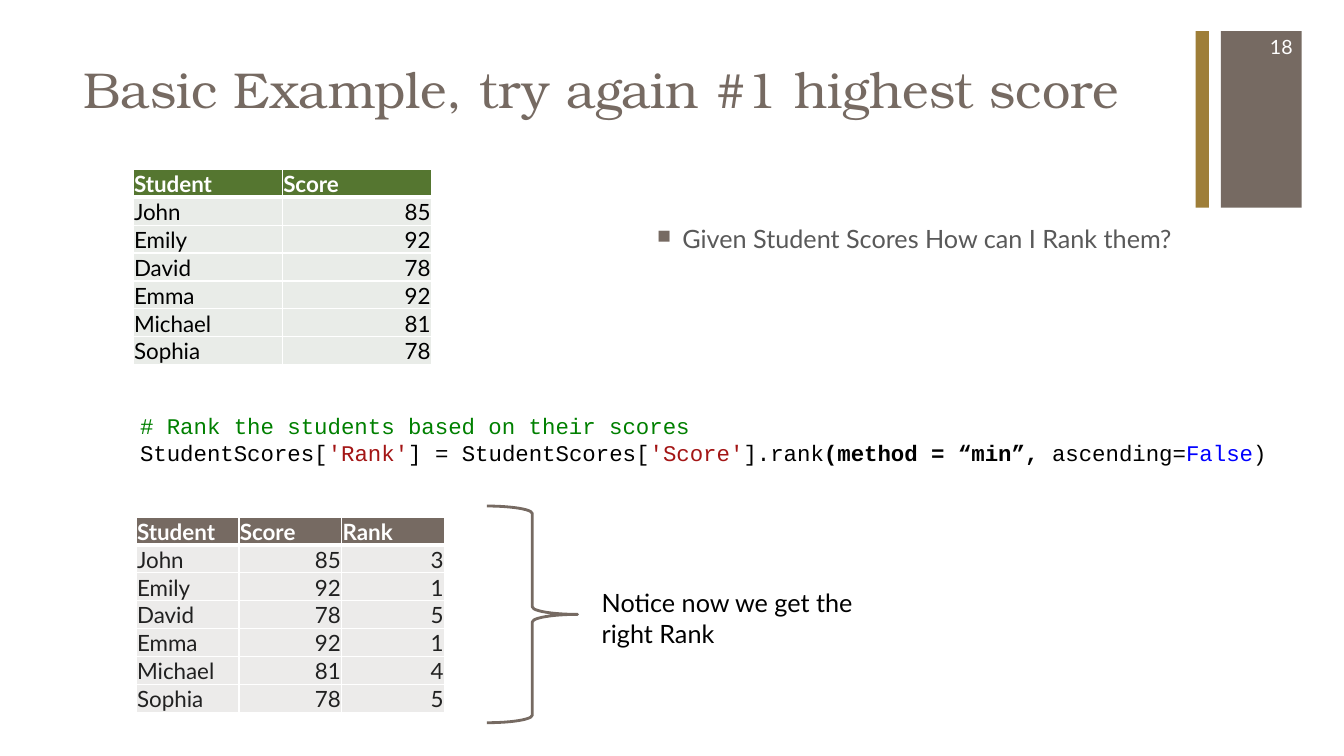
from lxml.etree import SubElement
from pptx import Presentation
from pptx.dml.color import RGBColor
from pptx.enum.shapes import MSO_SHAPE
from pptx.enum.text import MSO_ANCHOR, MSO_AUTO_SIZE, PP_ALIGN
from pptx.oxml.ns import qn
from pptx.util import Pt

# Content
TITLE = "Basic Example, try again #1 highest score"
QUESTION = "Given Student Scores How can I Rank them?"
NOTICE = "Notice now we get the right Rank"
SLIDE_NUMBER = "18"
RESULTS = [
    ("Student", "Score", "Rank"),
    ("John", "85", "3"),
    ("Emily", "92", "1"),
    ("David", "78", "5"),
    ("Emma", "92", "1"),
    ("Michael", "81", "4"),
    ("Sophia", "78", "5"),
]
SCORES = [row[:2] for row in RESULTS]
CODE = [  # lines of (text, colour, bold)
    [("# Rank the students based on their scores", "comment", False)],
    [
        ("StudentScores[", "black", False),
        ("'Rank'", "string", False),
        ("] = StudentScores[", "black", False),
        ("'Score'", "string", False),
        ("].rank", "black", False),
        ("(method = “min”, ", "black", True),
        ("ascending=", "black", False),
        ("False", "keyword", False),
        (")", "black", False),
    ],
]

# Style
COLORS = {
    "brown": "766A62", "gold": "9E7E38", "green": "557630", "white": "FFFFFF",
    "black": "000000", "ink": "212121", "gray": "595959",
    "green tint": "E9ECE8", "brown tint": "ECEBEA",
    "comment": "008000", "string": "A31515", "keyword": "0000FF",
}
SANS, SERIF, MONO = "Lato", "TeX Gyre Bonum", "Courier New"
PX = 9144  # 100 px to the inch
ROW_HEIGHT = 27


def color(name):
    return RGBColor.from_string(COLORS[name])


def box(*lengths):
    return [length * PX for length in lengths]


def add_run(paragraph, text, size, color_name, font=SANS, bold=False):
    run = paragraph.add_run()
    run.text = text
    run.font.name, run.font.size, run.font.bold = font, Pt(size), bold
    run.font.color.rgb = color(color_name)


def add_text(place, lines, size, font=SANS, align=PP_ALIGN.LEFT, anchor=MSO_ANCHOR.TOP):
    frame = slide.shapes.add_textbox(*box(*place)).text_frame
    frame.word_wrap, frame.vertical_anchor = True, anchor
    for index, line in enumerate(lines):
        paragraph = frame.add_paragraph() if index else frame.paragraphs[0]
        paragraph.alignment = align
        for text, color_name, bold in line:
            add_run(paragraph, text, size, color_name, font, bold)
    return frame


def add_bar(place, color_name):
    bar = slide.shapes.add_shape(MSO_SHAPE.RECTANGLE, *box(*place))
    bar.shadow.inherit = False
    bar.fill.solid()
    bar.fill.fore_color.rgb = color(color_name)
    bar.line.fill.background()


def set_borders(cell, bottom):
    properties = cell._tc.get_or_add_tcPr()
    for index, (side, points) in enumerate([("L", 1), ("R", 1), ("T", 1), ("B", bottom)]):
        line = properties.makeelement(qn(f"a:ln{side}"), {"w": str(Pt(points))})
        fill = SubElement(line, qn("a:solidFill"))
        SubElement(fill, qn("a:srgbClr"), val=COLORS["white"])
        properties.insert(index, line)


def add_score_table(left, top, column_width, rows, head, tint, ink):
    count = len(rows[0])
    place = box(left, top, column_width * count, ROW_HEIGHT * len(rows))
    table = slide.shapes.add_table(len(rows), count, *place).table
    for r, row in enumerate(rows):
        is_head = r == 0
        for c, text in enumerate(row):
            cell = table.cell(r, c)
            cell.margin_left = cell.margin_right = cell.margin_top = PX
            cell.margin_bottom = 0
            cell.vertical_anchor = MSO_ANCHOR.BOTTOM
            cell.fill.solid()
            cell.fill.fore_color.rgb = color(head if is_head else tint)
            set_borders(cell, 3 if is_head else 1)
            paragraph = cell.text_frame.paragraphs[0]
            paragraph.alignment = PP_ALIGN.RIGHT if c and not is_head else PP_ALIGN.LEFT
            add_run(paragraph, text, 16, "white" if is_head else ink, bold=is_head)


presentation = Presentation()
presentation.slide_width, presentation.slide_height = box(1333, 750)
slide = presentation.slides.add_slide(presentation.slide_layouts[5])

# Corner bars and slide number
add_bar((1211, 31, 80, 175), "brown")
add_bar((1186, 31, 13, 175), "gold")
add_text((1211, 26, 81, 40), [[(SLIDE_NUMBER, "white", False)]], 14,
         align=PP_ALIGN.RIGHT, anchor=MSO_ANCHOR.MIDDLE)

# Title
title = slide.shapes.title
title.left, title.top, title.width, title.height = box(73, 53, 1102, 122)
title.text_frame.vertical_anchor = MSO_ANCHOR.TOP
title.text_frame.auto_size = MSO_AUTO_SIZE.NONE
title.text_frame.paragraphs[0].alignment = PP_ALIGN.LEFT
add_run(title.text_frame.paragraphs[0], TITLE, 36, "brown", SERIF)

# Scores and the question about them
add_score_table(132, 168, 148, SCORES, "green", "green tint", "black")
question = add_text((642, 217, 533, 453), [[(QUESTION, "gray", False)]], 18)
properties = question.paragraphs[0]._p.get_or_add_pPr()
properties.set("marL", str(25 * PX))
properties.set("indent", str(-25 * PX))
bullet_color = SubElement(properties, qn("a:buClr"))
SubElement(bullet_color, qn("a:srgbClr"), val=COLORS["brown"])
SubElement(properties, qn("a:buSzPct"), val="75000")
SubElement(properties, qn("a:buChar"), char="■")

# Code
add_text((129, 404, 1162, 64), CODE, 16, MONO)

# Ranked result with brace and remark
add_score_table(135, 513, 102, RESULTS, "brown", "brown tint", "ink")
brace = slide.shapes.add_shape(MSO_SHAPE.RIGHT_BRACE, *box(483, 502, 90, 215))
brace.shadow.inherit = False
brace.fill.background()
brace.line.color.rgb = color("brown")
brace.line.width = Pt(2)
add_text((587, 578, 280, 71), [[(NOTICE, "black", False)]], 18)

presentation.save("out.pptx")
